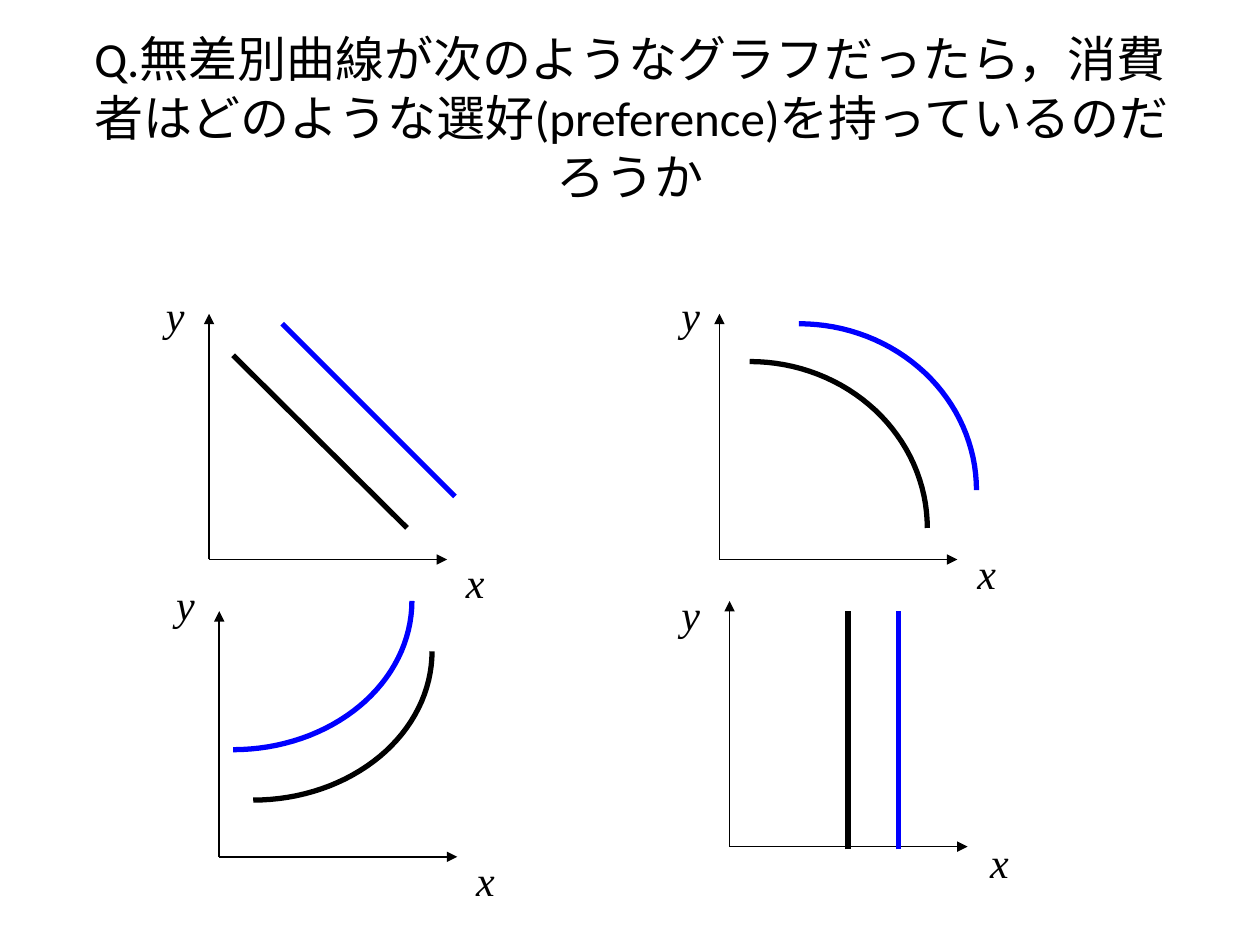
import math

from lxml import etree
from pptx import Presentation
from pptx import util as u
from pptx.dml.color import RGBColor
from pptx.enum import shapes, text
from pptx.oxml import ns

COLORS = {"black": "000000", "blue": "0000FF"}
AXIS_WIDTH, AXIS_HEIGHT = 136, 140.4
CURVE_STEPS = 32
TITLE = ("Q.無差別曲線が次のようなグラフだったら，"
         "消費者はどのような選好(preference)を持っているのだろうか")

# Each graph: origin, label boxes (left, top, width), curve kind,
# and the start and end of its black and blue indifference curves
GRAPHS = [
    {"origin": (119.5, 319.7), "x": (259.2, 314.6, 17.3), "y": (87.8, 162, 17.3),
     "kind": "line", "black": (133.2, 203, 232.6, 301.7),
     "blue": (161.3, 185, 260, 283.7)},
    {"origin": (411.1, 319.7), "x": (551.5, 309.6, 24.5), "y": (382.3, 162, 23),
     "kind": "arc", "black": (428.4, 206.6, 529.9, 301.7),
     "blue": (456.5, 185, 558, 280.1)},
    {"origin": (125.3, 489.6), "x": (265, 484.6, 17.3), "y": (93.6, 326.9, 17.3),
     "kind": "arc", "black": (144.7, 457.2, 246.9, 372.2),
     "blue": (133.2, 428.4, 235.4, 343.4)},
    {"origin": (416.9, 483.8), "x": (558.7, 474.5, 17.3), "y": (382.3, 332.6, 17.3),
     "kind": "line", "black": (484.6, 485.3, 484.6, 349.2),
     "blue": (513.4, 485.3, 513.4, 349.2)},
]


def add_text(slide, content, left, top, width, height, *, size, font,
             italic=False, align=text.PP_ALIGN.LEFT,
             anchor=text.MSO_ANCHOR.TOP, fit=text.MSO_AUTO_SIZE.NONE):
    box = slide.shapes.add_textbox(u.Pt(left), u.Pt(top), u.Pt(width), u.Pt(height))
    frame = box.text_frame
    frame.word_wrap = True
    frame.auto_size = fit
    frame.vertical_anchor = anchor
    paragraph = frame.paragraphs[0]
    paragraph.alignment = align
    run = paragraph.add_run()
    run.text = content
    run.font.size = u.Pt(size)
    run.font.name = font
    run.font.italic = italic
    run.font.color.rgb = RGBColor.from_string(COLORS["black"])


def style_line(shape, color, weight):
    shape.line.color.rgb = RGBColor.from_string(COLORS[color])
    shape.line.width = u.Pt(weight)


def add_line(slide, x1, y1, x2, y2, color="black", weight=3, arrow=False):
    line = slide.shapes.add_connector(
        shapes.MSO_CONNECTOR.STRAIGHT, u.Pt(x1), u.Pt(y1), u.Pt(x2), u.Pt(y2))
    style_line(line, color, weight)
    if arrow:
        outline = line.line._get_or_add_ln()
        etree.SubElement(outline, ns.qn("a:tailEnd"), type="triangle")
    etree.SubElement(line._element.spPr, ns.qn("a:effectLst"))


def add_arc(slide, x1, y1, x2, y2, color):
    """Quarter ellipse that starts level and ends upright."""
    angles = [math.pi / 2 * step / CURVE_STEPS for step in range(CURVE_STEPS + 1)]
    points = [(u.Pt(x1 + (x2 - x1) * math.sin(angle)),
               u.Pt(y2 + (y1 - y2) * math.cos(angle))) for angle in angles]
    builder = slide.shapes.build_freeform(*points[0])
    builder.add_line_segments(points[1:], close=False)
    arc = builder.convert_to_shape()
    arc.shadow.inherit = False
    arc.fill.background()
    style_line(arc, color, 3)


def add_graph(slide, graph):
    # Axes
    x, y = graph["origin"]
    add_line(slide, x, y, x + AXIS_WIDTH, y, weight=1, arrow=True)
    add_line(slide, x, y, x, y - AXIS_HEIGHT, weight=1, arrow=True)
    # Axis labels
    for name in ("x", "y"):
        add_text(slide, name, *graph[name], 36, size=24, font="Times New Roman",
                 italic=True, fit=text.MSO_AUTO_SIZE.SHAPE_TO_FIT_TEXT)
    # Indifference curves
    draw = add_arc if graph["kind"] == "arc" else add_line
    for color in COLORS:
        draw(slide, *graph[color], color)


def main():
    presentation = Presentation()
    presentation.slide_width, presentation.slide_height = u.Pt(720), u.Pt(540)
    slide = presentation.slides.add_slide(presentation.slide_layouts[6])
    # Question
    add_text(slide, TITLE, 36, 21.6, 648, 90, size=28, font="Calibri",
             align=text.PP_ALIGN.CENTER, anchor=text.MSO_ANCHOR.MIDDLE)
    # Four graphs
    for graph in GRAPHS:
        add_graph(slide, graph)
    presentation.save("out.pptx")


if __name__ == "__main__":
    main()
